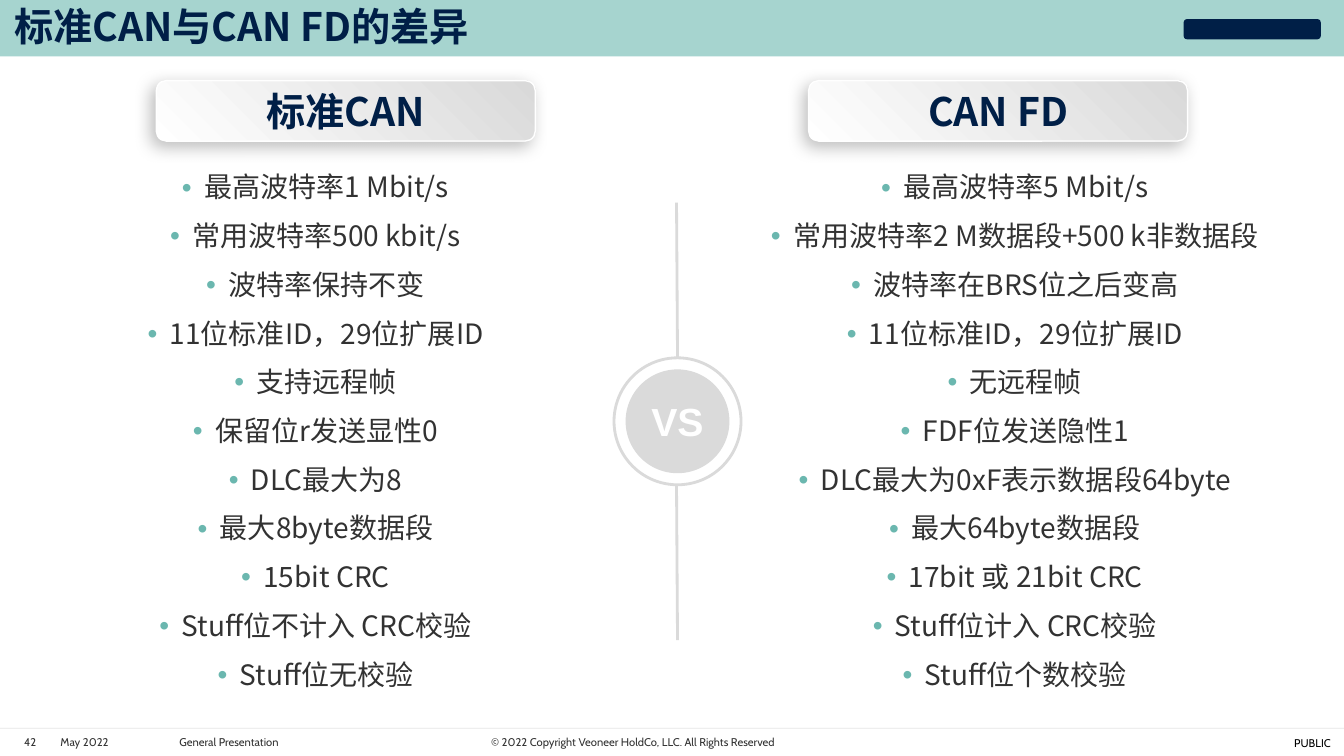
from lxml import etree
from pptx import Presentation
from pptx.dml.color import RGBColor
from pptx.enum.shapes import MSO_CONNECTOR as Connector, MSO_SHAPE as Shape
from pptx.enum.text import MSO_ANCHOR as Anchor, PP_ALIGN as Align
from pptx.oxml.ns import qn
from pptx.util import Inches, Pt

COLORS = {
    "navy": "001F47", "mint": "A6D4CF", "teal": "6BB7AF", "text": "323232",
    "black": "000000", "white": "FFFFFF", "grey": "DADADA", "silver": "D9D9D9",
    "rule": "E6E6E6",
}
CJK = "Noto Sans CJK SC"
SLIDE_WIDTH, SLIDE_HEIGHT = 13.33, 7.5

CAN_FEATURES = [
    "最高波特率1 Mbit/s", "常用波特率500 kbit/s", "波特率保持不变",
    "11位标准ID，29位扩展ID", "支持远程帧", "保留位r发送显性0",
    "DLC最大为8", "最大8byte数据段", "15bit CRC",
    "Stuff位不计入 CRC校验", "Stuff位无校验",
]
CAN_FD_FEATURES = [
    "最高波特率5 Mbit/s", "常用波特率2 M数据段+500 k非数据段",
    "波特率在BRS位之后变高", "11位标准ID，29位扩展ID", "无远程帧",
    "FDF位发送隐性1", "DLC最大为0xF表示数据段64byte", "最大64byte数据段",
    "17bit 或 21bit CRC", "Stuff位计入 CRC校验", "Stuff位个数校验",
]


def rgb(name):
    return RGBColor.from_string(COLORS[name])


def add_bullet(paragraph, color):
    properties = paragraph._p.get_or_add_pPr()
    properties.set("marL", str(Inches(0.22)))
    properties.set("indent", str(-Inches(0.22)))
    bullet_color = etree.SubElement(properties, qn("a:buClr"))
    etree.SubElement(bullet_color, qn("a:srgbClr"), val=COLORS[color])
    etree.SubElement(properties, qn("a:buFont"), typeface="Arial")
    etree.SubElement(properties, qn("a:buChar"), char="•")


def write_text(shape, text, size=8, font="Cabin", color="text", bold=False,
               align=Align.LEFT, anchor=Anchor.MIDDLE, margin=0, wrap=True,
               line_spacing=None, space_before=0, bullet=None):
    frame = shape.text_frame
    frame.word_wrap = wrap
    frame.vertical_anchor = anchor
    frame.margin_left = frame.margin_right = Inches(margin)
    frame.margin_top = frame.margin_bottom = Inches(margin / 2)
    for index, line in enumerate(text.split("\n")):
        paragraph = frame.add_paragraph() if index else frame.paragraphs[0]
        paragraph.alignment = align
        paragraph.line_spacing = line_spacing
        paragraph.space_before = Pt(space_before if index else 0)
        if bullet:
            add_bullet(paragraph, bullet)
        run = paragraph.add_run()
        run.text = line
        run.font.size = Pt(size)
        run.font.bold = bold
        run.font.name = font
        run.font.color.rgb = rgb(color)
        east_asian = etree.Element(qn("a:ea"), typeface=font)
        run._r.rPr.find(qn("a:latin")).addnext(east_asian)


def add_text(slide, box, text, **text_format):
    shape = slide.shapes.add_textbox(*map(Inches, box))
    write_text(shape, text, **text_format)


def add_plain(slide, kind, box, fill=None, line=None, width=1):
    shape = slide.shapes.add_shape(kind, *map(Inches, box))
    if fill:
        shape.fill.solid()
        shape.fill.fore_color.rgb = rgb(fill)
    else:
        shape.fill.background()
    if line:
        shape.line.color.rgb = rgb(line)
        shape.line.width = Pt(width)
    else:
        shape.line.fill.background()
    shape.shadow.inherit = False
    return shape


def add_line(slide, start, end, color, width):
    connector = slide.shapes.add_connector(
        Connector.STRAIGHT, *map(Inches, (*start, *end)))
    connector.line.color.rgb = rgb(color)
    connector.line.width = Pt(width)
    etree.SubElement(connector._element.spPr, qn("a:effectLst"))


def add_header(slide, box, text):
    left, top, width, height = box
    band = add_plain(slide, Shape.RECTANGLE, box, fill="mint")
    add_plain(slide, Shape.ROUNDED_RECTANGLE,
              (left + width - 1.59, top + 0.19, 1.36, 0.2), fill="navy")
    title = slide.shapes.title
    title._element.addprevious(band._element)
    title.left, title.top = Inches(left + 0.14), Inches(top + 0.08)
    title.width, title.height = Inches(width - 1.8), Inches(0.42)
    write_text(title, text, size=28, font=CJK, color="navy", bold=True,
               line_spacing=0.9)


def add_footer(slide, box):
    left, top, width, height = box
    add_plain(slide, Shape.RECTANGLE, (left, top, width, 0.01), fill="rule")
    labels = [
        (0.22, 0.16, "42", Align.CENTER),
        (0.6, 0.95, "May 2022", Align.LEFT),
        (1.78, 2.76, "General Presentation", Align.LEFT),
        (4.79, 2.9, "© 2022 Copyright Veoneer HoldCo, LLC. All Rights Reserved",
         Align.RIGHT),
    ]
    for offset, label_width, text, align in labels:
        add_text(slide, (left + offset, top + 0.08, label_width, 0.13), text,
                 align=align, anchor=Anchor.BOTTOM, wrap=False)
    add_text(slide, (left + width - 0.63, top + 0.03, 0.5, 0.25), "PUBLIC",
             color="black", align=Align.RIGHT)


def add_heading(slide, box, text):
    shape = add_plain(slide, Shape.ROUNDED_RECTANGLE, box, line="white")
    shape.fill.gradient()
    shape.fill.gradient_angle = 45
    for stop, color in zip(shape.fill.gradient_stops, ("white", "silver")):
        stop.color.rgb = rgb(color)
    effects = shape._element.spPr.find(qn("a:effectLst"))
    shadow = etree.SubElement(
        effects, qn("a:outerShdw"), blurRad=str(Pt(12)), dist=str(Pt(5)),
        dir=str(135 * 60000), algn="tr", rotWithShape="0")
    shadow_color = etree.SubElement(shadow, qn("a:srgbClr"), val=COLORS["black"])
    etree.SubElement(shadow_color, qn("a:alpha"), val="26000")
    write_text(shape, text, size=28, font=CJK, color="navy", bold=True,
               align=Align.CENTER, margin=0.1)


def add_column(slide, box, heading_left, heading, features):
    left, top, width, height = box
    add_heading(slide, (heading_left, top, 3.76, 0.6), heading)
    add_text(slide, (left, top + 0.86, width, height - 0.86),
             "\n".join(features), size=20, font=CJK, align=Align.CENTER,
             anchor=Anchor.TOP, margin=0.1, line_spacing=0.95,
             space_before=12, bullet="teal")


def add_versus(slide, box):
    left, top, width, height = box
    center, middle = left + width / 2, top + height / 2
    disc, ring = [(center - size / 2, middle - size / 2, size, size)
                  for size in (1.03, 1.26)]
    badge = add_plain(slide, Shape.OVAL, disc, fill="grey")
    write_text(badge, "VS", size=28, font="Arial", color="white", bold=True,
               align=Align.CENTER, margin=0.1)
    add_plain(slide, Shape.OVAL, ring, line="grey", width=2)
    for start in (top, top + height - 1.53):
        add_line(slide, (center - 0.01, start), (center, start + 1.53), "grey", 2)


def main():
    presentation = Presentation()
    presentation.slide_width = Inches(SLIDE_WIDTH)
    presentation.slide_height = Inches(SLIDE_HEIGHT)
    slide = presentation.slides.add_slide(presentation.slide_layouts[5])
    add_header(slide, (0, 0, SLIDE_WIDTH, 0.56), "标准CAN与CAN FD的差异")
    add_footer(slide, (0, 7.22, SLIDE_WIDTH, 0.28))
    add_versus(slide, (6.09, 2.01, 1.26, 4.34))
    add_column(slide, (1.06, 0.8, 4.14, 6.24), 1.55, "标准CAN", CAN_FEATURES)
    add_column(slide, (7.46, 0.8, 5.21, 6.24), 8.02, "CAN FD", CAN_FD_FEATURES)
    presentation.save("out.pptx")


if __name__ == "__main__":
    main()
